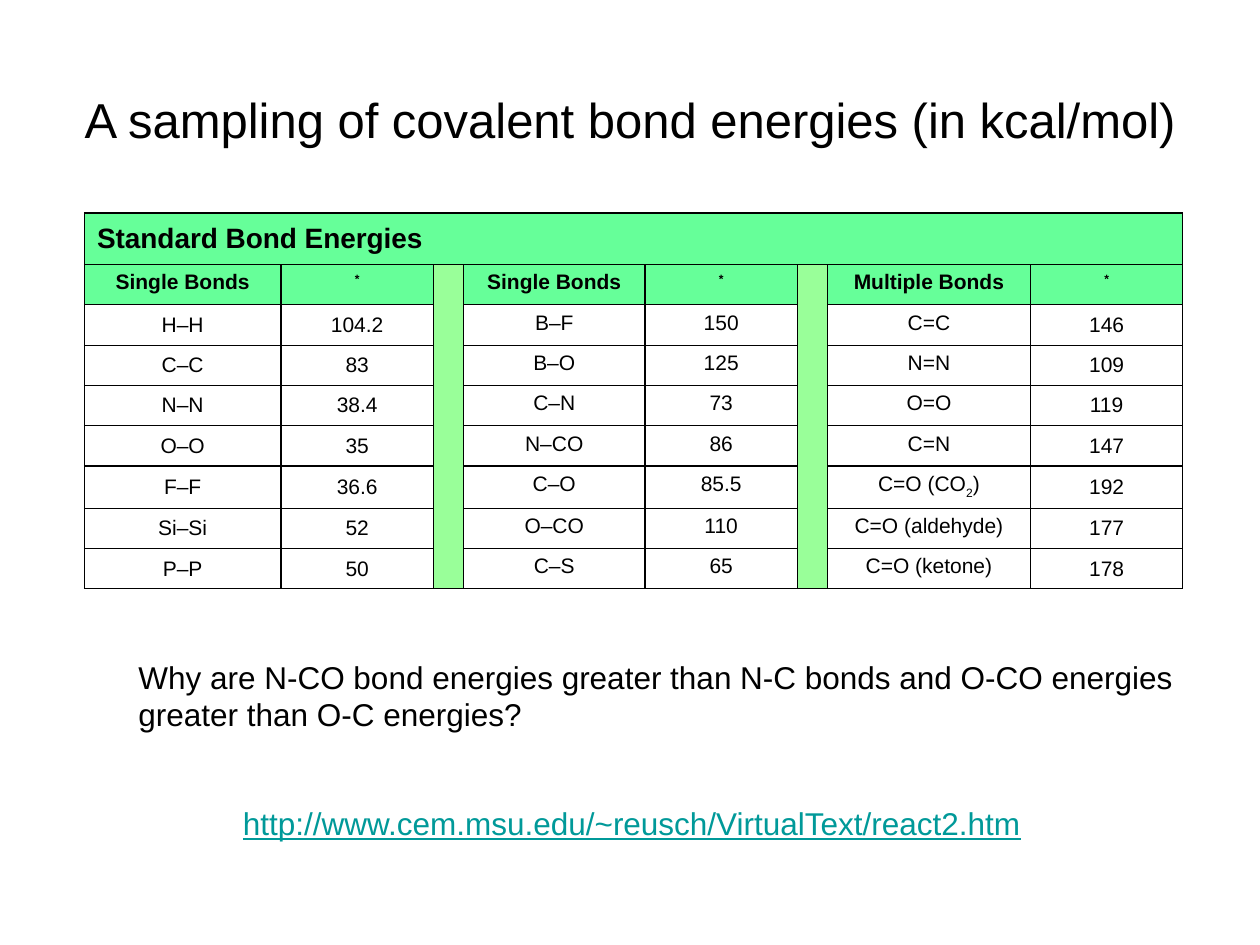
from lxml import etree
from pptx import Presentation, util as u
from pptx.dml.color import RGBColor
from pptx.enum import text
from pptx.oxml.ns import qn

BLACK, TEAL, GREEN, LIGHT_GREEN = "000000", "009999", "66FF99", "99FF99"
TOP, MIDDLE = text.MSO_ANCHOR.TOP, text.MSO_ANCHOR.MIDDLE
LEFT, CENTER = text.PP_ALIGN.LEFT, text.PP_ALIGN.CENTER

COLUMNS = [1.56, 1.21, 0.23, 1.44, 1.21, 0.23, 1.61, 1.21]
ROWS = [0.41] + [0.32] * 8
DIVIDERS = (2, 5)
CENTERED_COLUMNS = (0, 1, 7)
HEADERS = ["Single Bonds", "*", "", "Single Bonds", "*", "", "Multiple Bonds", "*"]
ENERGIES = [
    ["H–H", "104.2", "", "B–F", "150", "", "C=C", "146"],
    ["C–C", "83", "", "B–O", "125", "", "N=N", "109"],
    ["N–N", "38.4", "", "C–N", "73", "", "O=O", "119"],
    ["O–O", "35", "", "N–CO", "86", "", "C=N", "147"],
    ["F–F", "36.6", "", "C–O", "85.5", "", [("C=O (CO", 0), ("2", -30), (")", 0)], "192"],
    ["Si–Si", "52", "", "O–CO", "110", "", "C=O (aldehyde)", "177"],
    ["P–P", "50", "", "C–S", "65", "", "C=O (ketone)", "178"],
]


def rgb(value):
    return RGBColor.from_string(value)


class SlideBuilder:
    """Draw text and tables on one slide in a shared style."""

    def __init__(self, slide, font="Arial"):
        self.s = slide
        self.font = font

    def add_runs(self, tf, runs, size, color=BLACK, align=LEFT, bold=False, underline=False):
        p = tf.paragraphs[0]
        p.alignment = align
        for words, baseline in [(runs, 0)] if isinstance(runs, str) else runs:
            r = p.add_run()
            r.text = words
            r.font.name, r.font.size = self.font, u.Pt(size)
            r.font.bold, r.font.underline = bold, underline
            r.font.color.rgb = rgb(color)
            if baseline:
                r.font._element.set("baseline", str(baseline * 1000))

    def textbox(self, box, words, size, anchor=TOP, wrap=True, **style):
        sp = self.s.shapes.add_textbox(*map(u.Inches, box))
        tf = sp.text_frame
        tf.word_wrap, tf.vertical_anchor = wrap, anchor
        self.add_runs(tf, words, size, **style)

    def border(self, cell):
        tcPr = cell._tc.get_or_add_tcPr()
        for i, side in enumerate(("a:lnL", "a:lnR", "a:lnT", "a:lnB")):
            ln = etree.Element(qn(side), w=str(u.Pt(0.75)))
            fill = etree.SubElement(ln, qn("a:solidFill"))
            etree.SubElement(fill, qn("a:srgbClr"), val=BLACK)
            tcPr.insert(i, ln)

    def cell(self, cell, runs, size=12, fill=None, anchor=TOP, align=CENTER, bold=False):
        cell.vertical_anchor = anchor
        if fill:
            cell.fill.solid()
            cell.fill.fore_color.rgb = rgb(fill)
        else:
            cell.fill.background()
        self.border(cell)
        if runs:
            self.add_runs(cell.text_frame, runs, size, align=align, bold=bold)
        else:
            cell.margin_top = cell.margin_bottom = 0

    def table(self, left, top, title, headers, body):
        box = map(u.Inches, (left, top, sum(COLUMNS), sum(ROWS)))
        table = self.s.shapes.add_table(len(ROWS), len(COLUMNS), *box).table
        table.first_row = table.horz_banding = False
        for column, width in zip(table.columns, COLUMNS):
            column.width = u.Inches(width)
        for row, height in zip(table.rows, ROWS):
            row.height = u.Inches(height)
        table.cell(0, 0).merge(table.cell(0, len(COLUMNS) - 1))
        for c in DIVIDERS:
            table.cell(1, c).merge(table.cell(len(ROWS) - 1, c))
        for c, header in enumerate(headers):
            self.cell(table.cell(0, c), "" if c else title, 16, GREEN, MIDDLE, LEFT, True)
            fill = LIGHT_GREEN if c in DIVIDERS else GREEN
            label = [(header, 30)] if header == "*" else header
            self.cell(table.cell(1, c), label, fill=fill, bold=True)
            for r, values in enumerate(body, 2):
                self.cell(table.cell(r, c), values[c],
                          fill=LIGHT_GREEN if c in DIVIDERS else None,
                          anchor=MIDDLE if c in CENTERED_COLUMNS else TOP)


def main():
    prs = Presentation()
    prs.slide_width, prs.slide_height = u.Inches(10), u.Inches(7.5)
    s = SlideBuilder(prs.slides.add_slide(prs.slide_layouts[6]))
    s.textbox((0.5, 0.55, 9, 0.78), "A sampling of covalent bond energies (in kcal/mol)",
              28, MIDDLE, align=CENTER)
    s.textbox((1.83, 6.33, 6.42, 0.4), "http://www.cem.msu.edu/~reusch/VirtualText/react2.htm",
              18, MIDDLE, wrap=False, color=TEAL, underline=True)
    s.table(0.67, 1.69, "Standard Bond Energies", HEADERS, ENERGIES)
    s.textbox((1, 5.17, 8.42, 0.7), "Why are N-CO bond energies greater than N-C bonds "
              "and O-CO energies greater than O-C energies?", 18)
    prs.save("out.pptx")


if __name__ == "__main__":
    main()
